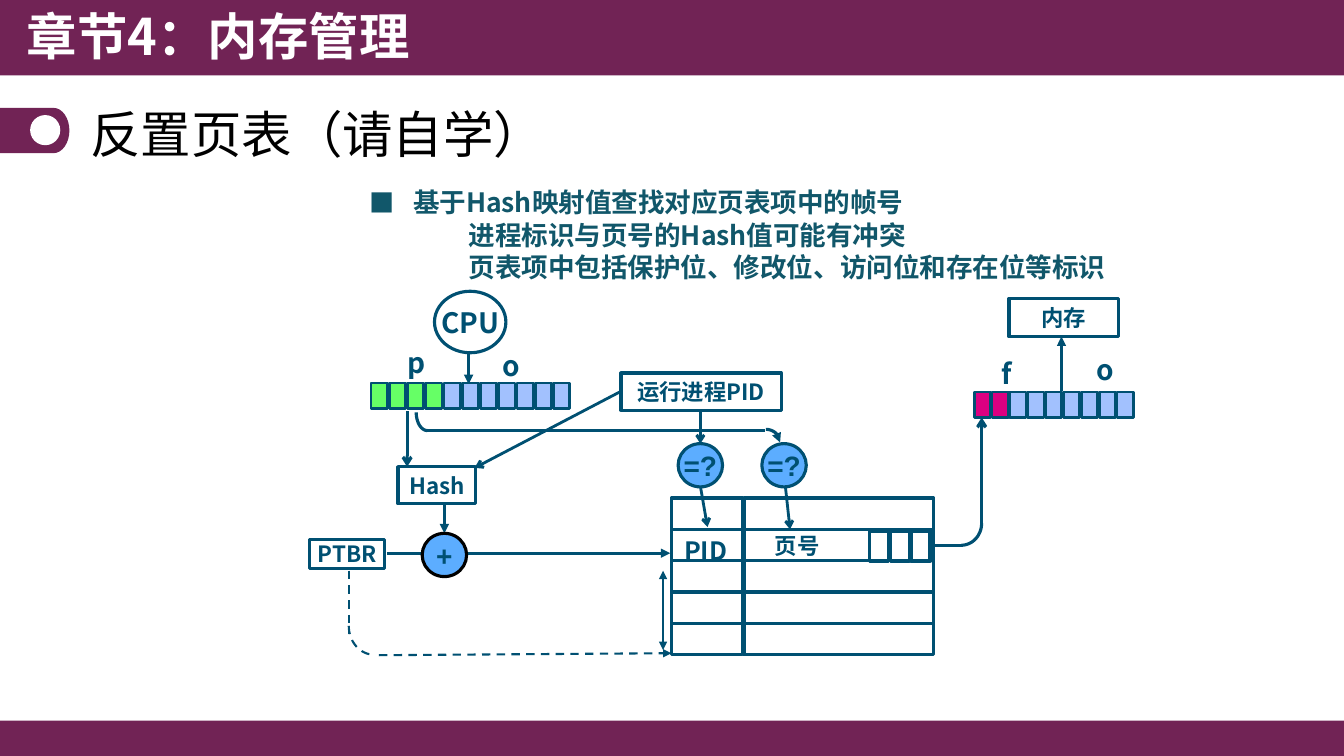
from dataclasses import dataclass
from math import cos, radians, sin
from typing import Optional

from lxml.etree import SubElement
from pptx import Presentation
from pptx.dml.color import RGBColor
from pptx.enum.dml import MSO_LINE
from pptx.enum.shapes import MSO_CONNECTOR, MSO_SHAPE
from pptx.enum.text import MSO_ANCHOR, PP_ALIGN
from pptx.oxml.ns import qn
from pptx.util import Cm, Pt


@dataclass(frozen=True)
class Theme:
    plum: str = "712355"
    white: str = "FFFFFF"
    black: str = "000000"
    teal: str = "11576A"
    ink: str = "005072"
    blue: str = "5CADFF"
    pale: str = "A2C1FE"
    green: str = "66FF66"
    pink: str = "DC0081"
    font: str = "Noto Sans CJK SC"
    square_font: str = "Noto Sans CJK JP"
    sign_font: str = "Arial"
    title: int = 36
    point: int = 19
    label: int = 20
    field: int = 18
    small: int = 16
    line: float = 2.25
    thin: float = 2


T = Theme()


@dataclass(frozen=True)
class Caption:
    text: str
    x: float
    y: float
    w: float
    h: float
    size: int
    color: str = T.ink
    bold: bool = True
    font: str = T.font
    anchor: MSO_ANCHOR = MSO_ANCHOR.TOP


@dataclass(frozen=True)
class Node:
    text: str
    x: float
    y: float
    w: float
    h: float
    kind: MSO_SHAPE = MSO_SHAPE.RECTANGLE
    size: int = T.small
    fill: Optional[str] = None
    line: str = T.ink
    font: str = T.font


@dataclass(frozen=True)
class Stroke:
    x1: float
    y1: float
    x2: float
    y2: float
    tail: str = ""
    width: float = T.line
    dash: bool = False
    head: str = ""


@dataclass(frozen=True)
class Bend:
    """A quarter ellipse about (cx, cy); angles run clockwise from the right."""
    cx: float
    cy: float
    rx: float
    ry: float
    start: int
    end: int
    tail: str = ""
    width: float = T.line
    dash: bool = False
    head: str = ""


CAPTIONS = [
    Caption("章节4：内存管理", 0.43, 0, 16.94, 1.96, T.title, T.white),
    Caption("反置页表（请自学）", 2.03, 2.41, 29.29, 1.91, T.title, T.black,
            bold=False, anchor=MSO_ANCHOR.MIDDLE),
    Caption("■", 9.07, 4.6, 0.89, 1.02, T.field, T.teal, font=T.square_font),
    Caption("基于Hash映射值查找对应页表项中的帧号", 10.16, 4.57, 19.05, 1.07, T.point, T.teal),
    Caption("进程标识与页号的Hash值可能有冲突", 11.56, 5.38, 12.7, 1.07, T.point, T.teal),
    Caption("页表项中包括保护位、修改位、访问位和存在位等标识", 11.56, 6.2, 17.48, 1.07,
            T.point, T.teal),
    Caption("p", 10.03, 8.59, 1.3, 1.09, T.label),
    Caption("o", 12.42, 8.66, 1.3, 1.09, T.label),
    Caption("f", 24.99, 8.86, 1.3, 1.09, T.label),
    Caption("o", 27.38, 8.76, 1.3, 1.09, T.label),
    Caption("PID", 16.99, 13.36, 2.41, 1.02, T.field),
    Caption("页号", 19.28, 13.28, 2.92, 0.94, T.small),
]
OVAL = MSO_SHAPE.OVAL
NODES = [
    Node("CPU", 10.95, 7.34, 1.8, 1.55, OVAL, T.label),
    Node("运行进程PID", 15.65, 9.4, 4.04, 0.94),
    Node("Hash", 10.03, 11.76, 1.96, 0.94),
    Node("PTBR", 7.8, 13.59, 1.9, 0.74),
    Node("内存", 25.43, 7.52, 2.77, 0.97),
    Node("+", 10.64, 13.44, 1.12, 1.09, OVAL, T.label, T.blue, T.black, T.sign_font),
    Node("=?", 17.09, 11.18, 1.12, 1.09, OVAL, T.label, T.blue, font=T.sign_font),
    Node("=?", 19.2, 11.18, 1.12, 1.09, OVAL, T.label, T.blue, font=T.sign_font),
]
STROKES = [
    Stroke(11.81, 8.84, 11.81, 9.68, "triangle"),
    Stroke(10.26, 10.36, 10.26, 11.76, "arrow"),
    Stroke(15.65, 9.86, 11.96, 11.79, "arrow", T.thin),
    Stroke(17.65, 10.34, 17.65, 11.18, "arrow", T.thin),
    Stroke(17.6, 11.96, 17.83, 13.28, "arrow", T.thin),
    Stroke(19.76, 11.96, 19.91, 13.34, "arrow", T.thin),
    Stroke(10.77, 10.85, 19.28, 10.85),
    Stroke(11.2, 12.73, 11.2, 13.44, "triangle"),
    Stroke(9.75, 13.94, 16.89, 13.94, "triangle"),
    Stroke(8.79, 14.38, 8.79, 15.98, width=1.5, dash=True),
    Stroke(9.55, 16.51, 16.92, 16.46, "triangle", 1.5, dash=True),
    Stroke(16.71, 16.38, 16.71, 14.38, "triangle", 1, head="triangle"),
    Stroke(23.5, 13.74, 24.26, 13.74),
    Stroke(24.74, 13.18, 24.74, 10.52, "arrow"),
    Stroke(26.75, 9.86, 26.75, 8.48, "triangle"),
]
BENDS = [
    Bend(10.77, 10.39, 0.28, 0.46, 180, 90),
    Bend(19.3, 11.15, 0.36, 0.33, -90, 0, "triangle"),
    Bend(9.43, 15.77, 0.64, 0.73, 180, 90, width=1.5, dash=True),
    Bend(24.23, 13.18, 0.51, 0.56, 90, 0),
]


def write(tf, text: str, *, size: int, color: str, bold: bool = True, font: str = T.font,
          align=PP_ALIGN.LEFT, anchor=MSO_ANCHOR.TOP, wrap: bool = True) -> None:
    tf.word_wrap = wrap
    tf.vertical_anchor = anchor
    p = tf.paragraphs[0]
    p.alignment = align
    r = p.add_run()
    r.text = text
    r.font.size, r.font.bold, r.font.name = Pt(size), bold, font
    r.font.color.rgb = RGBColor.from_string(color)
    SubElement(r.font._element, qn("a:ea"), typeface=font)


def paint(sp, fill: Optional[str] = None, line: Optional[str] = None,
          width: float = T.line) -> None:
    sp.shadow.inherit = False
    if fill:
        sp.fill.solid()
        sp.fill.fore_color.rgb = RGBColor.from_string(fill)
    else:
        sp.fill.background()
    if line:
        sp.line.color.rgb = RGBColor.from_string(line)
        sp.line.width = Pt(width)
    else:
        sp.line.fill.background()


def add_block(shapes, x: float, y: float, w: float, h: float, fill: Optional[str] = None,
              line: Optional[str] = None, width: float = T.line, kind=MSO_SHAPE.RECTANGLE):
    sp = shapes.add_shape(kind, Cm(x), Cm(y), Cm(w), Cm(h))
    paint(sp, fill, line, width)
    return sp


def style_line(line, s: Stroke | Bend) -> None:
    line.color.rgb = RGBColor.from_string(T.ink)
    line.width = Pt(s.width)
    if s.dash:
        line.dash_style = MSO_LINE.DASH
    for tag, end in (("a:headEnd", s.head), ("a:tailEnd", s.tail)):
        if end:
            SubElement(line._get_or_add_ln(), qn(tag), type=end)


def add_stroke(shapes, s: Stroke) -> None:
    c = shapes.add_connector(MSO_CONNECTOR.STRAIGHT, Cm(s.x1), Cm(s.y1), Cm(s.x2), Cm(s.y2))
    style_line(c.line, s)
    SubElement(c._element.spPr, qn("a:effectLst"))


def arc_points(cx: float, cy: float, rx: float, ry: float, start: int, end: int,
               steps: int = 16) -> list[tuple[int, int]]:
    angles = [radians(start + (end - start) * i / steps) for i in range(steps + 1)]
    return [(Cm(cx + rx * cos(a)), Cm(cy + ry * sin(a))) for a in angles]


def add_outline(shapes, points: list[tuple[int, int]], close: bool):
    fb = shapes.build_freeform(*points[0])
    fb.add_line_segments(points[1:], close=close)
    return fb.convert_to_shape()


def add_cells(shapes, x: float, y: float, pitch: float, fills: list[str]) -> None:
    for i, fill in enumerate(fills):
        add_block(shapes, x + i * pitch, y, 0.41, 0.64, fill, T.ink, T.thin)


def add_page_table(shapes) -> None:
    for row in range(5):
        for x, w in ((16.92, 1.8), (18.75, 4.78)):
            add_block(shapes, x, 12.55 + row * 0.79, w, 0.79, line=T.ink)
    for flag in range(3):
        add_block(shapes, 21.92 + flag * 0.52, 13.39, 0.48, 0.76, line=T.ink)


def add_frame(shapes) -> None:
    """Header and footer bars and the rounded mark beside the heading."""
    add_block(shapes, 0, 18.16, 33.87, 0.89, T.plum)
    add_block(shapes, 0, 0, 33.87, 1.9, T.plum)
    points = [(Cm(0), Cm(2.72)), *arc_points(1.35, 3.29, 0.4, 0.57, -90, 90),
              (Cm(0), Cm(3.86))]
    paint(add_outline(shapes, points, close=True), T.plum)
    add_block(shapes, 0.76, 2.9, 0.76, 0.76, T.white, kind=OVAL)


def main() -> None:
    prs = Presentation()
    prs.slide_width, prs.slide_height = Cm(33.87), Cm(19.05)
    shapes = prs.slides.add_slide(prs.slide_layouts[6]).shapes
    add_frame(shapes)
    for s in STROKES:
        add_stroke(shapes, s)
    for b in BENDS:
        sp = add_outline(shapes, arc_points(b.cx, b.cy, b.rx, b.ry, b.start, b.end), close=False)
        paint(sp)
        style_line(sp.line, b)
    add_cells(shapes, 9.35, 9.65, 0.46, [T.green] * 4 + [T.pale] * 7)
    add_cells(shapes, 24.55, 9.88, 0.45, [T.pink] * 2 + [T.pale] * 7)
    add_page_table(shapes)
    for n in NODES:
        sp = add_block(shapes, n.x, n.y, n.w, n.h, n.fill, n.line, kind=n.kind)
        write(sp.text_frame, n.text, size=n.size, color=T.ink, font=n.font,
              align=PP_ALIGN.CENTER, anchor=MSO_ANCHOR.MIDDLE, wrap=False)
    for c in CAPTIONS:
        box = shapes.add_textbox(Cm(c.x), Cm(c.y), Cm(c.w), Cm(c.h))
        write(box.text_frame, c.text, size=c.size, color=c.color, bold=c.bold,
              font=c.font, anchor=c.anchor)
    prs.save("out.pptx")


if __name__ == "__main__":
    main()
